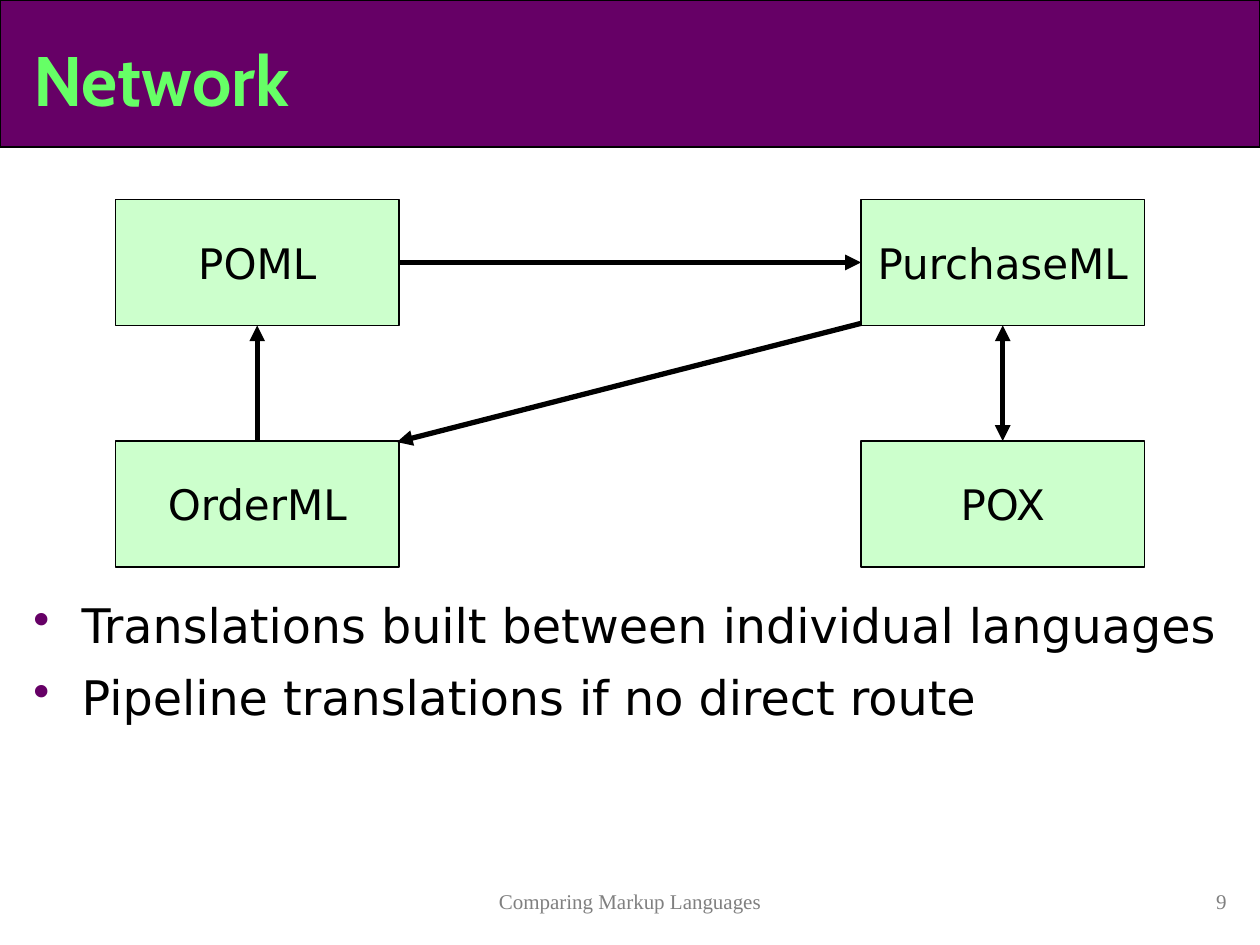
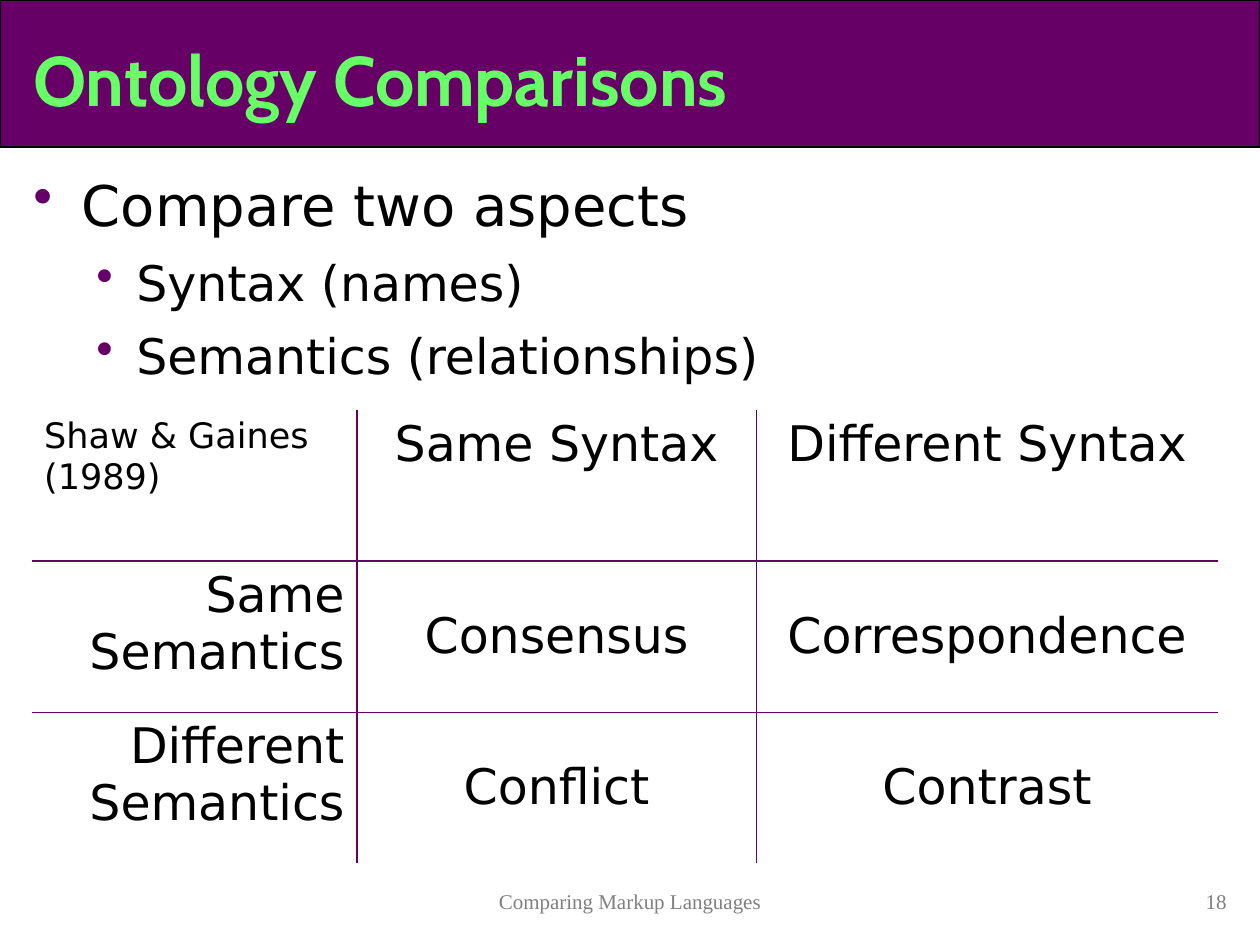
from dataclasses import dataclass
from itertools import product

from lxml.etree import SubElement
from pptx import Presentation
from pptx.dml.color import RGBColor
from pptx.enum.shapes import MSO_CONNECTOR, MSO_SHAPE
from pptx.enum.text import MSO_ANCHOR, PP_ALIGN
from pptx.oxml.ns import qn
from pptx.util import Pt

SCALE = 7620
PLUM = "660066"
LIME = "66FF66"
MINT = "CCFFCC"
BLACK = "000000"
GREY = "808080"
THICK, THIN = 1.08, 0.45
LEFT, MID, RIGHT = PP_ALIGN.LEFT, PP_ALIGN.CENTER, PP_ALIGN.RIGHT
ABOVE, BELOW = 0, 2


@dataclass(frozen=True)
class Style:
    font: str
    size: float
    color: str = BLACK
    bold: bool = False


@dataclass(frozen=True)
class Rect:
    x: int
    y: int
    w: int
    h: int


@dataclass(frozen=True)
class Item:
    text: str
    size: float
    indent: int = 46
    hang: int = 46


@dataclass(frozen=True)
class Node:
    name: str
    col: int
    row: int


@dataclass(frozen=True)
class Link:
    start: str
    side: int
    end: str
    goal: int
    both: bool = False


TITLE = Style("Cabin", 40, LIME, True)
FOOT = Style("Times New Roman", 12, GREY)
SANS = "DejaVu Sans"
LABEL = Style(SANS, 24)
CELL = Style(SANS, 28)
CITE = Style(SANS, 20)

NODES = [
    Node("POML", 0, 0),
    Node("OrderML", 0, 1),
    Node("PurchaseML", 1, 0),
    Node("POX", 1, 1),
]
LINKS = [
    Link("PurchaseML", BELOW, "POX", ABOVE, True),
    Link("POML", 3, "PurchaseML", 1),
    Link("OrderML", ABOVE, "POML", BELOW),
]
ROUTES = [
    Item("Translations built between individual languages", 27.2),
    Item("Pipeline translations if no direct route", 27.2),
]
ASPECTS = [
    Item("Compare two aspects", 32),
    Item("Syntax (names)", 28, 98, 38),
    Item("Semantics (relationships)", 28, 98, 38),
]
GRID = [
    ["Shaw & Gaines (1989)", "Same Syntax", "Different Syntax"],
    ["Same Semantics", "Consensus", "Correspondence"],
    ["Different Semantics", "Conflict", "Contrast"],
]
WIDTHS = [310, 380, 440]
TALL = 144


def px(size: int) -> int:
    return size * SCALE


def paint(target, color: str) -> None:
    if hasattr(target, "solid"):
        target.solid()
        target = target.fore_color
    target.rgb = RGBColor.from_string(color)


def write(para, text: str, style: Style, align=LEFT) -> None:
    para.alignment = align
    run = para.add_run()
    run.text = text
    run.font.name = style.font
    run.font.size = Pt(style.size)
    run.font.bold = style.bold
    paint(run.font.color, style.color)


def frame(slide, box: Rect):
    shape = slide.shapes.add_textbox(px(box.x), px(box.y), px(box.w), px(box.h))
    shape.text_frame.word_wrap = True
    return shape.text_frame


def block(slide, box: Rect, color: str):
    shape = slide.shapes.add_shape(
        MSO_SHAPE.RECTANGLE, px(box.x), px(box.y), px(box.w), px(box.h)
    )
    shape.shadow.inherit = False
    paint(shape.fill, color)
    paint(shape.line.fill, BLACK)
    shape.line.width = Pt(0.75)
    return shape


def base(deck, title: str, number: int):
    slide = deck.slides.add_slide(deck.slide_layouts[6])
    block(slide, Rect(0, 0, 1200, 140), PLUM)
    head = frame(slide, Rect(20, 20, 1150, 110))
    head.vertical_anchor = MSO_ANCHOR.MIDDLE
    write(head.paragraphs[0], title, TITLE)
    for box, text, align in (
        (Rect(290, 840, 620, 40), "Comparing Markup Languages", MID),
        (Rect(930, 840, 250, 40), str(number), RIGHT),
    ):
        write(frame(slide, box).paragraphs[0], text, FOOT, align)
    return slide


def bullets(slide, box: Rect, items: list[Item]) -> None:
    body = frame(slide, box)
    for i, item in enumerate(items):
        para = body.add_paragraph() if i else body.paragraphs[0]
        props = para._p.get_or_add_pPr()
        props.set("marL", str(px(item.indent)))
        props.set("indent", str(-px(item.hang)))
        tint = SubElement(props, qn("a:buClr"))
        SubElement(tint, qn("a:srgbClr"), val=PLUM)
        SubElement(props, qn("a:buChar"), char="•")
        if i:
            para.space_before = Pt(8.5)
        write(para, item.text, Style(SANS, item.size))


def arrow(slide, x: int, y: int, right: int, low: int, both: bool = False):
    line = slide.shapes.add_connector(
        MSO_CONNECTOR.STRAIGHT, px(x), px(y), px(right), px(low)
    )
    paint(line.line.fill, BLACK)
    line.line.width = Pt(3)
    props = line._element.spPr
    stroke = props.find(qn("a:ln"))
    if both:
        SubElement(stroke, qn("a:headEnd"), type="triangle")
    SubElement(stroke, qn("a:tailEnd"), type="triangle")
    SubElement(props, qn("a:effectLst"))
    return line


def network(slide) -> None:
    shapes = {}
    for node in NODES:
        box = Rect(110 + 710 * node.col, 190 + 230 * node.row, 270, 120)
        shape = block(slide, box, MINT)
        text = shape.text_frame
        text.word_wrap = True
        text.vertical_anchor = MSO_ANCHOR.MIDDLE
        write(text.paragraphs[0], node.name, LABEL, MID)
        shapes[node.name] = shape
    for link in LINKS:
        line = arrow(slide, 0, 0, 0, 0, link.both)
        line.begin_connect(shapes[link.start], link.side)
        line.end_connect(shapes[link.end], link.goal)
    arrow(slide, 820, 308, 378, 421)


def edge(props, tag: str, width: float) -> None:
    line = SubElement(props, qn(f"a:{tag}"), w=str(Pt(width)))
    if width:
        fill = SubElement(line, qn("a:solidFill"))
        SubElement(fill, qn("a:srgbClr"), val=PLUM)
    else:
        SubElement(line, qn("a:noFill"))


def matrix(slide) -> None:
    count = len(GRID)
    table = slide.shapes.add_table(
        count, count, px(30), px(390), px(sum(WIDTHS)), px(TALL * count)
    ).table
    table.first_row = table.horz_banding = False
    for col, width in zip(table.columns, WIDTHS):
        col.width = px(width)
    for row in table.rows:
        row.height = px(TALL)
    rules = [0, THICK, THIN, 0]
    for r, c in product(range(count), repeat=2):
        cell = table.cell(r, c)
        props = cell._tc.get_or_add_tcPr()
        for tag, rule in (("lnL", c), ("lnR", c + 1), ("lnT", r), ("lnB", r + 1)):
            edge(props, tag, rules[rule])
        cell.fill.background()
        if r and c:
            cell.vertical_anchor = MSO_ANCHOR.MIDDLE
        style = CELL if r or c else CITE
        align = MID if c else RIGHT if r else LEFT
        write(cell.text_frame.paragraphs[0], GRID[r][c], style, align)


def main() -> None:
    deck = Presentation()
    deck.slide_width, deck.slide_height = px(1200), px(900)
    slide = base(deck, "Network", 9)
    network(slide)
    bullets(slide, Rect(20, 562, 1160, 268), ROUTES)
    slide = base(deck, "Ontology Comparisons", 18)
    bullets(slide, Rect(20, 156, 1160, 234), ASPECTS)
    matrix(slide)
    deck.save("out.pptx")


if __name__ == "__main__":
    main()
